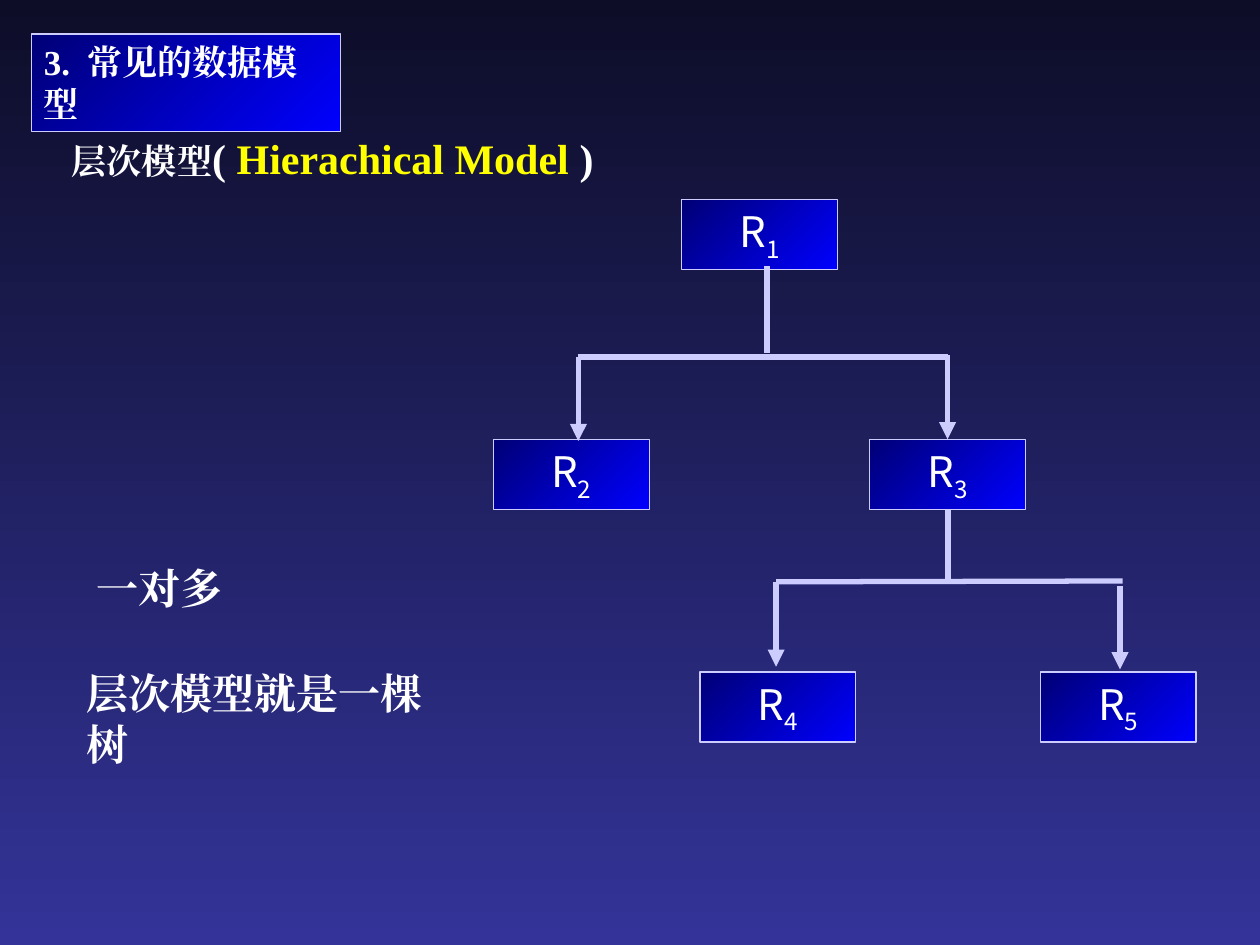
import pptx
import pptx.util
import pptx.dml.color
import pptx.enum.shapes
import pptx.enum.text
import pptx.oxml.ns
from lxml import etree

Pt = pptx.util.Pt
ALIGN = pptx.enum.text.PP_ALIGN
SERIF, SANS = "Times New Roman", "Noto Sans CJK SC"
WHITE, GOLD, PALE = "FFFFFF", "FFFF00", "CCCCFF"
NAVY, BLUE = "000076", "0000FF"

TITLE = [("3.", 20, WHITE), (" ", 20, WHITE), ("常见的数据模型", 20, WHITE)]
NOTES = [
    (34, 72, 317, ALIGN.LEFT, [("层次模型", 20, WHITE), ("( ", 24, WHITE),
                               ("Hierachical Model ", 24, GOLD), (")", 24, WHITE)]),
    (42.5, 378, 230, ALIGN.LEFT, [("层次模型就是一棵树", 24, WHITE)]),
    (48, 318, 86.5, ALIGN.CENTER, [("一对多", 24, WHITE)]),
]
NODES = {"1": (389.5, 114), "2": (282, 251), "3": (497, 251),
         "4": (400, 384), "5": (594.5, 384)}
WIDE, HIGH = 89, 40
STEMS = [(438.5, 152, 201.5, None), (541.5, 291, 332, "3")]
DROPS = [(330.5, 252, 204, None), (541.5, 251, 203, "3"),
         (443.5, 381, 332.5, None), (640, 382.5, 335, None)]
BARS = [(330.5, 204, 541.5, 204), (443.5, 332.5, 641.5, 332)]


def color(code):
    return pptx.dml.color.RGBColor.from_string(code)


def shade(fill, start, end, angle):
    fill.gradient()
    fill.gradient_angle = angle
    for stop, code in zip(fill.gradient_stops, (start, end)):
        stop.color.rgb = color(code)


def style(run, size, code, face, bold):
    font = run.font
    font.size, font.name, font.bold = Pt(size), face, bold
    font.color.rgb = color(code)
    east = etree.SubElement(run._r.get_or_add_rPr(), pptx.oxml.ns.qn("a:ea"))
    east.set("typeface", face)


def write(frame, parts, align, face=SERIF, bold=True):
    frame.margin_left = frame.margin_right = Pt(7.2)
    frame.margin_top = frame.margin_bottom = Pt(3.6)
    para = frame.paragraphs[0]
    para.alignment = align
    for text, size, code in parts:
        run = para.add_run()
        run.text = text
        style(run, size, code, face, bold)
    return para.runs


def panel(x, y, w, h):
    kind = pptx.enum.shapes.MSO_SHAPE.RECTANGLE
    box = slide.shapes.add_shape(kind, Pt(x), Pt(y), Pt(w), Pt(h))
    box.shadow.inherit = False
    shade(box.fill, NAVY, BLUE, 315)
    box.line.color.rgb = color(PALE)
    box.line.width = Pt(0.75)
    box.text_frame.word_wrap = True
    box.text_frame.vertical_anchor = pptx.enum.text.MSO_ANCHOR.MIDDLE
    return box


def link(x1, y1, x2, y2, width, arrow=False):
    kind = pptx.enum.shapes.MSO_CONNECTOR.STRAIGHT
    line = slide.shapes.add_connector(kind, Pt(x1), Pt(y1), Pt(x2), Pt(y2))
    line.line.color.rgb = color(PALE)
    line.line.width = Pt(width)
    if arrow:
        head = etree.SubElement(line.line._get_or_add_ln(), pptx.oxml.ns.qn("a:headEnd"))
        head.set("type", "triangle")
    etree.SubElement(line._element.spPr, pptx.oxml.ns.qn("a:effectLst"))
    return line


deck = pptx.Presentation()
deck.slide_width, deck.slide_height = Pt(720), Pt(540)
slide = deck.slides.add_slide(deck.slide_layouts[6])
shade(slide.background.fill, "0D0D28", "333399", 270)

title = panel(18, 19.5, 176.5, 55.5)
runs = write(title.text_frame, TITLE, ALIGN.LEFT)
runs[1].font._element.set("spc", "500")

for x, y, w, align, parts in NOTES:
    note = slide.shapes.add_textbox(Pt(x), Pt(y), Pt(w), Pt(36))
    note.text_frame.word_wrap = False
    write(note.text_frame, parts, align)

boxes = {}
for name, (x, y) in NODES.items():
    boxes[name] = panel(x, y, WIDE, HIGH)
    parts = [("R", 24, WHITE), (name, 24, WHITE)]
    runs = write(boxes[name].text_frame, parts, ALIGN.CENTER, SANS, False)
    runs[1].font._element.set("baseline", "-25000")

for x, top, end, name in STEMS:
    stem = link(x, top, x, end, 3.5)
    if name:
        stem.begin_connect(boxes[name], 2)
for x, low, end, name in DROPS:
    drop = link(x, low, x, end, 3.25, True)
    if name:
        drop.begin_connect(boxes[name], 0)
for bar in BARS:
    link(*bar, 3)

deck.save("out.pptx")
